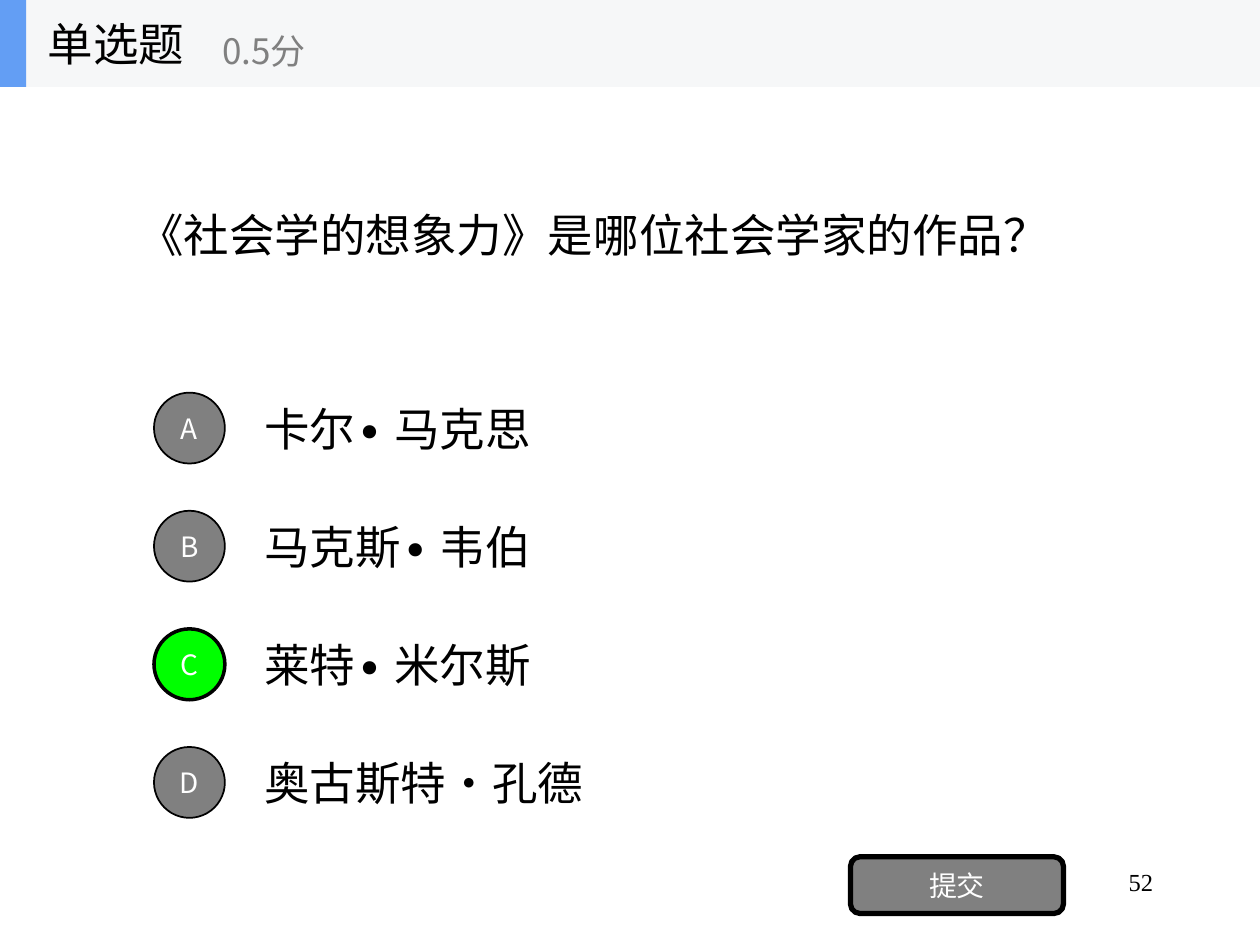
from dataclasses import dataclass

from lxml import etree
from pptx import Presentation
from pptx.dml.color import RGBColor
from pptx.enum.shapes import MSO_SHAPE
from pptx.enum.text import MSO_ANCHOR, PP_ALIGN
from pptx.oxml.ns import qn
from pptx.util import Pt

RECTANGLE = MSO_SHAPE.RECTANGLE
ROUNDED = MSO_SHAPE.ROUNDED_RECTANGLE
OVAL = MSO_SHAPE.OVAL
TOP, MIDDLE = MSO_ANCHOR.TOP, MSO_ANCHOR.MIDDLE
LEFT, CENTER, RIGHT = PP_ALIGN.LEFT, PP_ALIGN.CENTER, PP_ALIGN.RIGHT


@dataclass(frozen=True)
class Theme:
    """Colours, fonts and type sizes of the quiz page."""
    ink: str = "000000"
    paper: str = "FFFFFF"
    muted: str = "808080"
    correct: str = "00FF00"
    band: str = "F6F7F8"
    accent: str = "639EF4"
    font: str = "Noto Sans CJK SC"
    number_font: str = "Times New Roman"
    main: int = 26
    score: int = 20
    label: int = 16
    number: int = 14


THEME = Theme()


def write(shape, text, size, color, align=LEFT, anchor=MIDDLE, font=THEME.font):
    """Put one line of formatted text into a shape."""
    frame = shape.text_frame
    frame.text = text
    frame.word_wrap = True
    frame.vertical_anchor = anchor
    para = frame.paragraphs[0]
    para.alignment = align
    for span in para.runs:
        span.font.size = Pt(size)
        span.font.name = font
        span.font.color.rgb = RGBColor.from_string(color)
        etree.SubElement(span._r.get_or_add_rPr(), qn("a:ea")).set("typeface", font)


def add_text(page, box, text, size, color, **layout):
    """Add a text box in the given box."""
    shape = page.shapes.add_textbox(*map(Pt, box))
    write(shape, text, size, color, **layout)


def add_block(page, kind, box, fill, line_width=0):
    """Add a filled preset shape, outlined when a line width is given."""
    shape = page.shapes.add_shape(kind, *map(Pt, box))
    shape.shadow.inherit = False
    shape.fill.solid()
    shape.fill.fore_color.rgb = RGBColor.from_string(fill)
    if line_width:
        shape.line.color.rgb = RGBColor.from_string(THEME.ink)
        shape.line.width = Pt(line_width)
    else:
        shape.line.fill.background()
    return shape


def add_header(page, box, title, score):
    """Draw the title band with its accent bar, question type and score."""
    left, top, width, height = box
    add_block(page, RECTANGLE, box, THEME.band)
    add_block(page, RECTANGLE, (left, top, 15, height), THEME.accent)
    add_text(page, (left + 20.2, top, 150, height), title, THEME.main, THEME.ink)
    add_text(page, (left + 120, top + 9, 180, 40), score, THEME.score, THEME.muted)


def add_options(page, box, options, answer):
    """Draw the answer rows at an equal pitch, with the right one marked."""
    left, top, width, height = box
    row_height, circle = 50.4, 40.5
    pitch = (height - row_height) / (len(options) - 1)
    inset = (row_height - circle) / 2
    rows = [(top + index * pitch, letter, text)
            for index, (letter, text) in enumerate(options.items())]
    for row_top, _, text in rows:
        add_text(page, (left + 56, row_top, width - 56, row_height),
                 text, THEME.main, THEME.ink)
    for row_top, letter, _ in rows:
        fill, line_width = (THEME.correct, 2) if letter == answer else (THEME.muted, 1)
        badge = add_block(page, OVAL, (left, row_top + inset, circle, circle),
                          fill, line_width)
        write(badge, letter, THEME.label, THEME.paper, align=CENTER)


def add_submit(page, box, text):
    """Draw the submit button."""
    button = add_block(page, ROUNDED, box, THEME.muted, 3)
    write(button, text, THEME.label, THEME.paper, align=CENTER)


def main():
    """Build the single-choice question page."""
    deck = Presentation()
    deck.slide_width, deck.slide_height = Pt(720), Pt(540)
    page = deck.slides.add_slide(deck.slide_layouts[6])
    add_text(page, (516, 492, 150, 36), "52", THEME.number, THEME.ink,
             align=RIGHT, anchor=TOP, font=THEME.number_font)
    add_text(page, (72, 49.7, 576, 168.5), "《社会学的想象力》是哪位社会学家的作品？",
             THEME.main, THEME.ink)
    options = {
        "A": "卡尔∙ 马克思",
        "B": "马克斯∙ 韦伯",
        "C": "莱特∙ 米尔斯",
        "D": "奥古斯特·孔德",
    }
    add_options(page, (88, 219.4, 560, 252.9), options, "C")
    add_submit(page, (486, 489.6, 121.7, 32.4), "提交")
    add_header(page, (0, 0, 720, 49.7), "单选题", "0.5分")
    deck.save("out.pptx")


if __name__ == "__main__":
    main()
